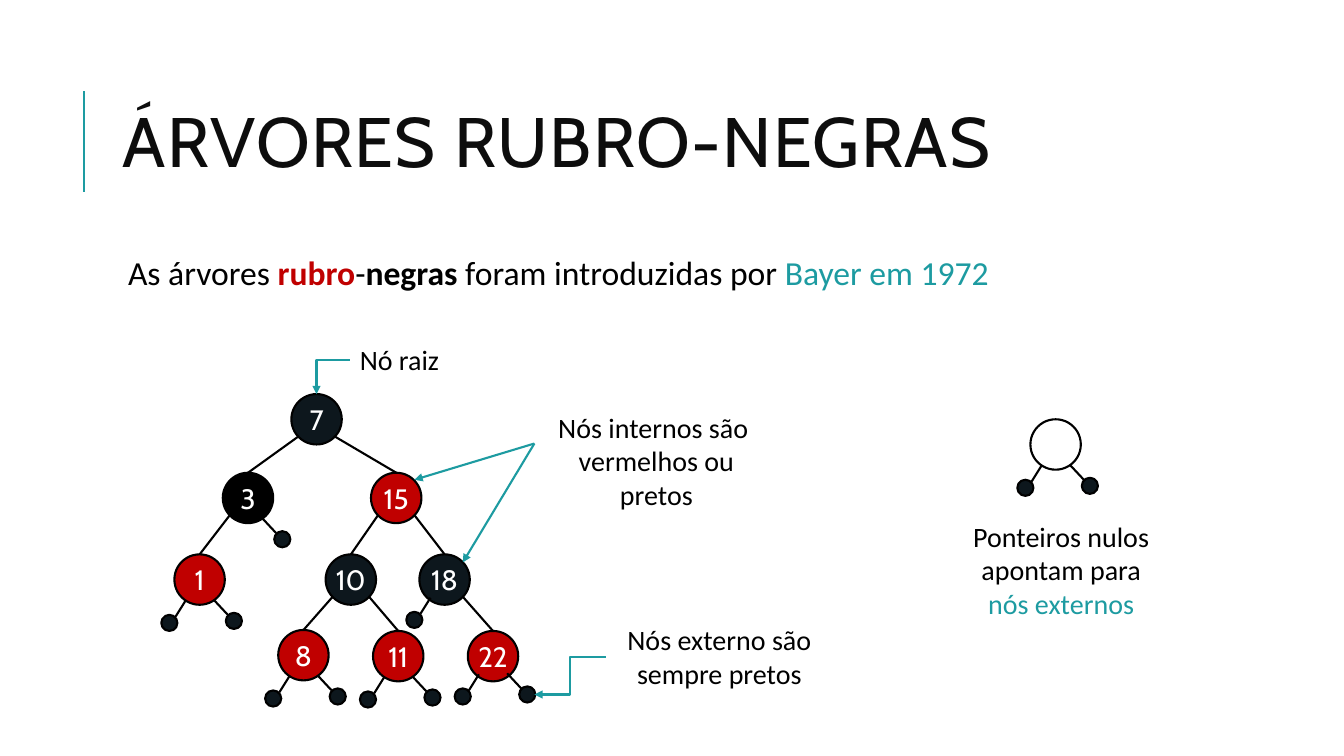
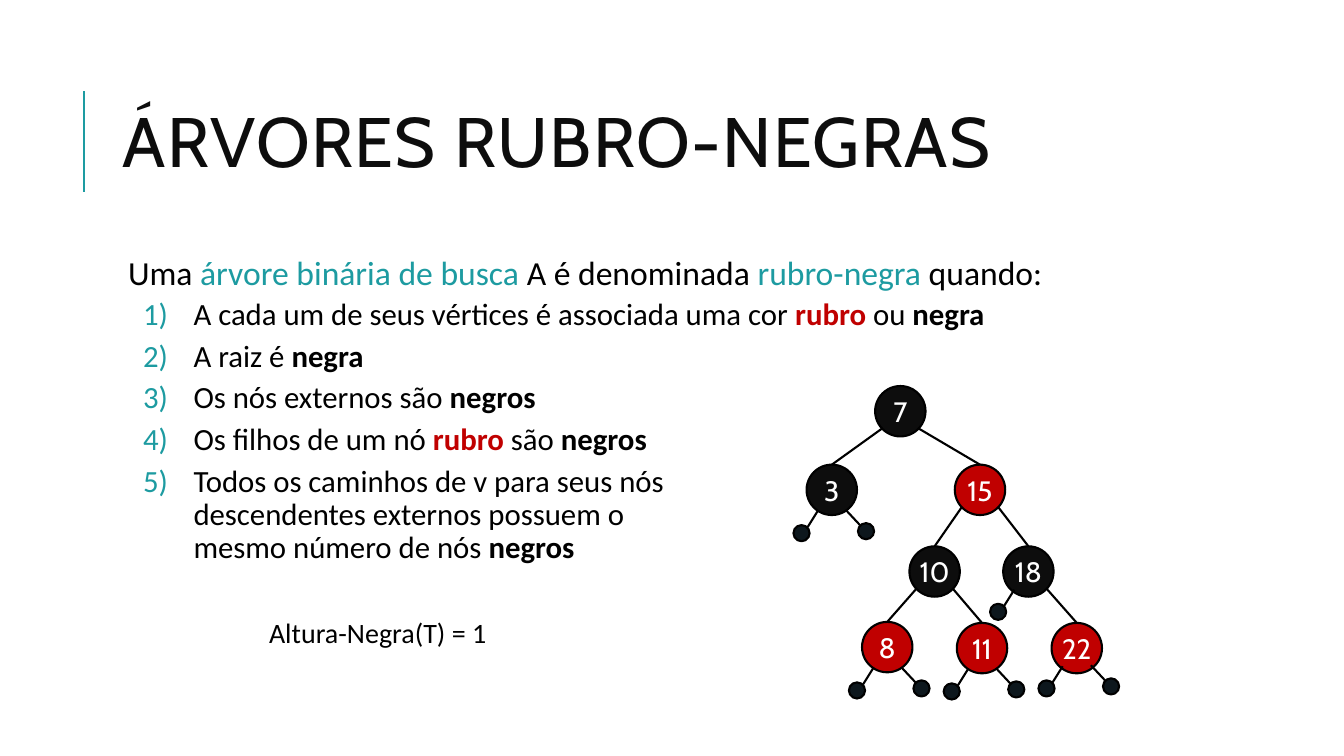
from dataclasses import dataclass

import pptx
import pptx.dml.color
import pptx.enum.shapes
import pptx.enum.text
import pptx.oxml.ns
import pptx.oxml.xmlchemy
import pptx.util

Inches = pptx.util.Inches
Pt = pptx.util.Pt
RGBColor = pptx.dml.color.RGBColor
OxmlElement = pptx.oxml.xmlchemy.OxmlElement
CONNECTOR = pptx.enum.shapes.MSO_CONNECTOR
ALIGN = pptx.enum.text.PP_ALIGN
ANCHOR = pptx.enum.text.MSO_ANCHOR

TEAL = RGBColor(0x1D, 0x9B, 0xA1)
RED = RGBColor(0xC0, 0x00, 0x00)
BLACK = RGBColor(0x00, 0x00, 0x00)
CHARCOAL = RGBColor(0x0D, 0x0D, 0x0D)
NIGHT = RGBColor(0x0D, 0x17, 0x1D)
WHITE = RGBColor(0xFF, 0xFF, 0xFF)

HEADING_FONT = "Cabin"
BODY_FONT = "Calibri"
LINE_WIDTH = Pt(1.5)
NODE_SIZE = 0.5
LEAF_SIZE = 0.16
TITLE = "ÁRVORES RUBRO-NEGRAS"

# Leaf offset, then the two ends of its edge, relative to the node's box.
LEAVES = {
    "left": ((-0.13, 0.6), (0.11, 0.46), (0.01, 0.62)),
    "right": ((0.51, 0.58), (0.39, 0.45), (0.53, 0.6)),
}
EDGE_START = {"left": (0.07, 0.42), "right": (0.43, 0.42)}
BOTH = ("left", "right")


@dataclass
class Node:
    """A tree node placed relative to the root's box."""
    key: int
    x: float
    y: float
    parent: int = 0
    side: str = "left"
    fill: RGBColor = None
    leaves: tuple = ()
    leaf_lift: float = 0


ROOT = Node(7, 0, 0)
RIGHT_BRANCH = [
    Node(15, 0.79, 0.78, 7, "right", RED),
    Node(10, 0.34, 1.59, 15, "left"),
    Node(18, 1.27, 1.59, 15, "right", leaves=("left",), leaf_lift=0.03),
    Node(8, -0.13, 2.34, 10, "left", RED, BOTH),
    Node(11, 0.81, 2.35, 10, "right", RED, BOTH),
    Node(22, 1.75, 2.35, 18, "right", RED, BOTH, 0.03),
]
INTRODUCED_TREE = [
    ROOT,
    Node(3, -0.68, 0.78, 7, "left", BLACK, ("right",)),
    Node(1, -1.16, 1.59, 3, "left", RED, BOTH),
    *RIGHT_BRANCH,
]
DEFINED_TREE = [ROOT, Node(3, -0.68, 0.78, 7, leaves=BOTH), *RIGHT_BRANCH]

RULES = [
    [("A cada um de seus vértices é associada uma cor ", BLACK, False),
     ("rubro", RED, True), (" ou ", BLACK, False), ("negra", BLACK, True)],
    [("A raiz é ", BLACK, False), ("negra", BLACK, True)],
    [("Os nós externos são ", BLACK, False), ("negros", BLACK, True)],
    [("Os filhos de um nó ", BLACK, False), ("rubro", RED, True),
     (" são ", BLACK, False), ("negros", BLACK, True)],
    [("Todos os caminhos de v para seus nós \ndescendentes externos possuem o "
      "\nmesmo número de nós ", BLACK, False), ("negros", BLACK, True)],
]


def format_run(run, size, font, color, bold=False):
    """Set the look of one run."""
    run.font.size = Pt(size)
    run.font.name = font
    run.font.color.rgb = color
    run.font.bold = bold


def write_runs(paragraph, pieces, size):
    """Write (text, colour, bold) pieces, breaking lines at newlines."""
    for text, color, bold in pieces:
        for index, line in enumerate(text.split("\n")):
            if index:
                paragraph.add_line_break()
            run = paragraph.add_run()
            run.text = line
            format_run(run, size, BODY_FONT, color, bold)


def add_text_box(slide, left, top, width, height):
    """Add a wrapping text box and return its text frame."""
    shape = slide.shapes.add_textbox(
        Inches(left), Inches(top), Inches(width), Inches(height))
    shape.text_frame.word_wrap = True
    return shape.text_frame


def add_label(slide, left, top, width, height, pieces, alignment=ALIGN.CENTER):
    """Add a short caption."""
    paragraph = add_text_box(slide, left, top, width, height).paragraphs[0]
    paragraph.alignment = alignment
    write_runs(paragraph, pieces, 20)


def add_line(slide, start, end, color=BLACK, arrow=False, preset=None):
    """Draw a connector between two points, optionally bent or with an arrowhead."""
    kind = CONNECTOR.ELBOW if preset else CONNECTOR.STRAIGHT
    connector = slide.shapes.add_connector(
        kind, *(Inches(value) for value in (*start, *end)))
    connector.line.color.rgb = color
    connector.line.width = LINE_WIDTH
    properties = connector._element.spPr
    if preset:
        properties.find(pptx.oxml.ns.qn("a:prstGeom")).set("prst", preset)
    if arrow:
        tail = OxmlElement("a:tailEnd")
        tail.set("type", "triangle")
        connector.line._get_or_add_ln().append(tail)
    properties.append(OxmlElement("a:effectLst"))
    return connector


def add_circle(slide, left, top, size, fill=None, text=""):
    """Draw an outlined circle, hollow when no fill is given."""
    shape = slide.shapes.add_shape(
        pptx.enum.shapes.MSO_SHAPE.OVAL,
        Inches(left), Inches(top), Inches(size), Inches(size))
    shape.shadow.inherit = False
    shape.line.color.rgb = BLACK
    shape.line.width = LINE_WIDTH
    if fill is None:
        shape.fill.background()
    else:
        shape.fill.solid()
        shape.fill.fore_color.rgb = fill
    if text:
        frame = shape.text_frame
        frame.margin_left = frame.margin_right = 0
        frame.margin_top = frame.margin_bottom = 0
        frame.vertical_anchor = ANCHOR.MIDDLE
        frame.text = text
        frame.paragraphs[0].alignment = ALIGN.CENTER
        format_run(frame.paragraphs[0].runs[0], 20, HEADING_FONT, WHITE)
    return shape


def add_leaves(slide, left, top, sides):
    """Hang external nodes from the node whose box starts at left, top."""
    for side in sides:
        leaf, start, end = (
            (left + x, top + y) for x, y in LEAVES[side])
        add_line(slide, start, end)
        add_circle(slide, *leaf, LEAF_SIZE, NIGHT)


def add_tree(slide, left, top, nodes, dark):
    """Draw a red-black tree whose root's box starts at left, top."""
    boxes = {}
    for node in nodes:
        x, y = left + node.x, top + node.y
        boxes[node.key] = (x, y)
        circle = add_circle(
            slide, x, y, NODE_SIZE, node.fill or dark, str(node.key))
        if node.parent:
            parent_x, parent_y = boxes[node.parent]
            offset_x, offset_y = EDGE_START[node.side]
            edge = add_line(slide, (parent_x + offset_x, parent_y + offset_y),
                            (x + NODE_SIZE / 2, y))
            edge.end_connect(circle, 0)
        add_leaves(slide, x, y - node.leaf_lift, node.leaves)


def add_tree_notes(slide, left, top):
    """Name the parts of the tree whose root's box starts at left, top."""
    def point(x, y):
        """Return slide coordinates for a place relative to the root."""
        return left + x, top + y

    add_line(slide, point(0.58, -0.34), point(0.25, 0), TEAL, True,
             "bentConnector2")
    add_label(slide, *point(0.58, -0.56), 1.04, 0.44,
              [("Nó raiz", BLACK, False)], ALIGN.LEFT)
    add_line(slide, point(3.12, 2.61), point(2.41, 2.98), TEAL, True,
             "bentConnector3")
    add_label(slide, *point(3.12, 2.22), 2.25, 0.77,
              [("Nós externo são sempre pretos", BLACK, False)])
    for target in ((1.22, 0.85), (1.7, 1.67)):
        add_line(slide, point(2.41, 0.49), point(*target), TEAL, True)
    add_label(slide, *point(2.41, 0.11), 2.42, 0.77,
              [("Nós internos são \nvermelhos ou pretos", BLACK, False)])


def add_null_pointer_key(slide, left, top):
    """Explain external nodes beside a hollow node at left, top."""
    add_circle(slide, left, top, NODE_SIZE)
    add_leaves(slide, left, top, BOTH)
    add_label(slide, left - 0.73, top + 0.94, 2.07, 1.11,
              [("Ponteiros nulos apontam para ", BLACK, False),
               ("nós externos", TEAL, False)])


def add_title(slide):
    """Add the title and the rule beside it."""
    add_line(slide, (0.83, 1.9), (0.83, 0.9), TEAL)
    frame = add_text_box(slide, 1.12, 0.64, 10.63, 1.64)
    frame.vertical_anchor = ANCHOR.MIDDLE
    frame.text = TITLE
    paragraph = frame.paragraphs[0]
    paragraph.line_spacing = 0.8
    run = paragraph.runs[0]
    format_run(run, 50, HEADING_FONT, CHARCOAL)
    run._r.get_or_add_rPr().set("spc", "100")


def number_paragraph(paragraph):
    """Give a paragraph a teal number and a hanging indent."""
    properties = paragraph._p.get_or_add_pPr()
    properties.set("marL", str(Inches(0.75)))
    properties.set("indent", str(Inches(-0.5)))
    bullet_color = OxmlElement("a:buClr")
    color = OxmlElement("a:srgbClr")
    color.set("val", str(TEAL))
    bullet_color.append(color)
    number = OxmlElement("a:buAutoNum")
    number.set("type", "arabicParenR")
    properties.extend([bullet_color, number])


def add_body(slide, lead, rules=()):
    """Add the lead sentence and the numbered rules under it."""
    frame = add_text_box(slide, 1.12, 2.5, 10.63, 4.4)
    frame.margin_left = frame.margin_right = Inches(0.05)
    frame.margin_top = frame.margin_bottom = Inches(0.05)
    paragraph = frame.paragraphs[0]
    paragraph.line_spacing = 0.9
    paragraph.space_before, paragraph.space_after = Pt(12), Pt(2)
    paragraph._p.get_or_add_pPr().set("marL", str(Inches(0.1)))
    write_runs(paragraph, lead, 24)
    for rule in rules:
        paragraph = frame.add_paragraph()
        paragraph.line_spacing = 0.9
        paragraph.space_before, paragraph.space_after = Pt(2), Pt(4)
        number_paragraph(paragraph)
        write_runs(paragraph, rule, 22)


def build_introduction(slide):
    """Present the tree and name its parts."""
    add_title(slide)
    add_body(slide, [
        ("As árvores ", BLACK, False), ("rubro", RED, True),
        ("-", BLACK, False), ("negras", BLACK, True),
        (" foram introduzidas por ", BLACK, False),
        ("Bayer em 1972", TEAL, False)])
    add_tree(slide, 2.89, 3.91, INTRODUCED_TREE, NIGHT)
    add_tree_notes(slide, 2.89, 3.91)
    add_null_pointer_key(slide, 10.22, 4.16)


def build_definition(slide):
    """List the rules of a red-black tree beside an example."""
    add_title(slide)
    add_body(slide, [
        ("Uma ", BLACK, False), ("árvore binária de busca", TEAL, False),
        (" A é denominada ", BLACK, False), ("rubro-negra", TEAL, False),
        (" quando:", BLACK, False)], RULES)
    add_tree(slide, 8.68, 3.83, DEFINED_TREE, CHARCOAL)
    add_label(slide, 2.57, 6.06, 2.46, 0.44,
              [("Altura-Negra(T) = 1", BLACK, False)], ALIGN.LEFT)


def main():
    """Build and save the presentation."""
    presentation = pptx.Presentation()
    presentation.slide_width = Inches(13.33)
    presentation.slide_height = Inches(7.5)
    for build in (build_introduction, build_definition):
        build(presentation.slides.add_slide(presentation.slide_layouts[6]))
    presentation.save("out.pptx")


if __name__ == "__main__":
    main()
